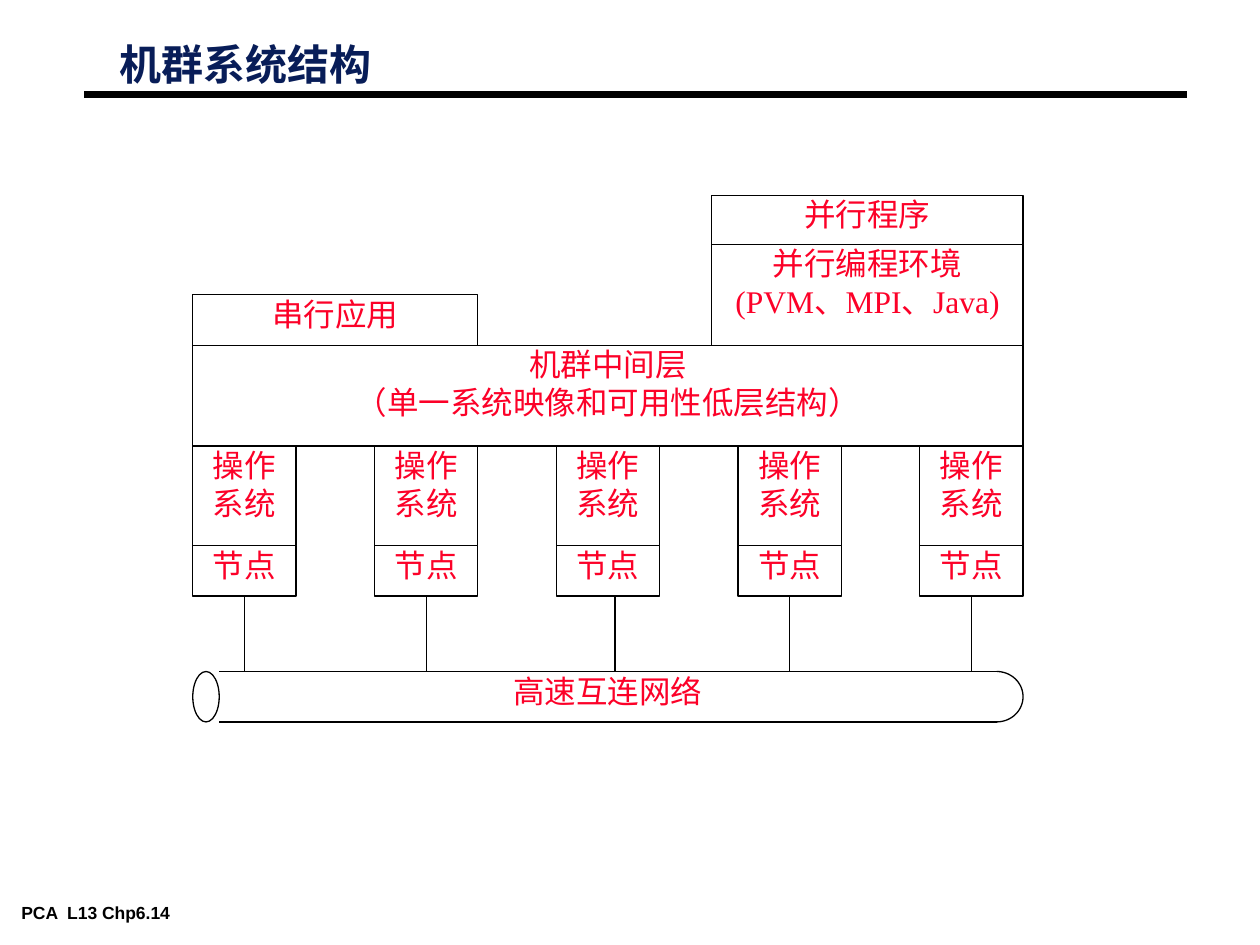
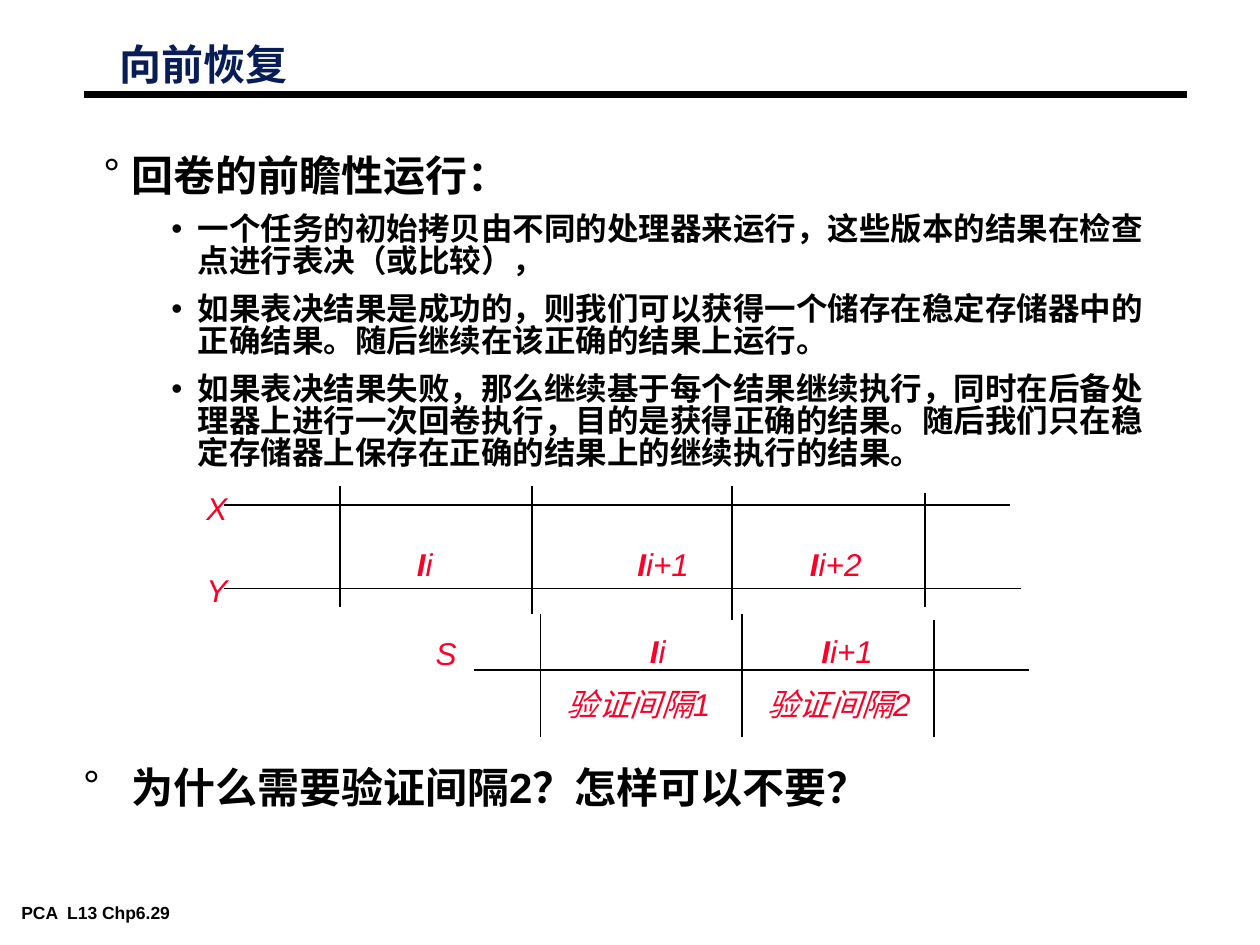
"""Build two lecture slides: cluster architecture and forward recovery."""
import math

import lxml.etree
import pptx
import pptx.dml.color
import pptx.enum.shapes
import pptx.enum.text
import pptx.oxml.ns
import pptx.util

Inches = pptx.util.Inches
Pt = pptx.util.Pt
qn = pptx.oxml.ns.qn
rgb = pptx.dml.color.RGBColor.from_string
SHAPES = pptx.enum.shapes.MSO_SHAPE
ALIGN = pptx.enum.text.PP_ALIGN
BLACK, WHITE, NAVY, RED = "000000", "FFFFFF", "081D58", "FC0128"


def write(frame, paragraphs, size, color, font="Arial", inset=(0.07, 0.03),
          italic=False, align=ALIGN.LEFT, wrap=True):
    """Fill a frame with paragraphs, each a list of (text, bold) runs."""
    frame.word_wrap = wrap
    if not wrap:
        frame.auto_size = pptx.enum.text.MSO_AUTO_SIZE.SHAPE_TO_FIT_TEXT
    frame.vertical_anchor = pptx.enum.text.MSO_ANCHOR.TOP
    frame.margin_left = frame.margin_right = Inches(inset[0])
    frame.margin_top = frame.margin_bottom = Inches(inset[1])
    for index, runs in enumerate(paragraphs):
        paragraph = frame.add_paragraph() if index else frame.paragraphs[0]
        paragraph.alignment = align
        for text, bold in runs:
            run = paragraph.add_run()
            run.text = text
            run.font.name = font
            run.font.size = Pt(size)
            run.font.bold = bold
            run.font.italic = italic
            run.font.color.rgb = rgb(color)


def rule(slide, x1, y1, x2, y2, weight):
    """Draw a plain black straight line."""
    line = slide.shapes.add_connector(pptx.enum.shapes.MSO_CONNECTOR.STRAIGHT,
                                      Inches(x1), Inches(y1), Inches(x2), Inches(y2))
    line.line.color.rgb = rgb(BLACK)
    line.line.width = Pt(weight)
    lxml.etree.SubElement(line._element.spPr, qn("a:effectLst"))
    return line


deck = pptx.Presentation()
deck.slide_width, deck.slide_height = Inches(10), Inches(7.5)

slides = []
for title, title_width, page in [("机群系统结构", 5.86, 14), ("向前恢复", 3.26, 29)]:
    slide = deck.slides.add_slide(deck.slide_layouts[6])
    footer = slide.shapes.add_textbox(Inches(0.1), Inches(7.13), Inches(1.84), Inches(0.22))
    write(footer.text_frame, [[(f"PCA  L13 Chp6.{page}", True)]], 10, BLACK, wrap=False)
    rule(slide, 0.67, 0.75, 9.42, 0.75, 4.5)
    heading = slide.shapes.add_textbox(Inches(0.88), Inches(0.33), Inches(title_width), Inches(0.4))
    write(heading.text_frame, [[(title, True)]], 24, NAVY)
    heading.text_frame.paragraphs[0].line_spacing = 0.87
    slides.append(slide)
cluster, recovery = slides

left, right, node_width, node_count = 1.53, 8.12, 0.82, 5
pitch = (right - left - node_width) / (node_count - 1)
pipe_top, pipe_height, cap = 5.33, 0.4, 0.21
pipe_left, pipe_right = left + cap, right - cap
pipe_middle = pipe_top + pipe_height / 2

arc = []
for degrees in range(90, -91, -5):
    angle = math.radians(degrees)
    arc.append((Inches(pipe_right + cap * math.cos(angle)),
                Inches(pipe_middle + pipe_height / 2 * math.sin(angle))))
builder = cluster.shapes.build_freeform(*arc[0])
builder.add_line_segments(arc[1:], close=False)
pipe_end = builder.convert_to_shape()
pipe_end.shadow.inherit = False
pipe_end.fill.background()
pipe_end.line.color.rgb = rgb(BLACK)
pipe_end.line.width = Pt(0.75)

layers = [
    (SHAPES.RECTANGLE, pipe_left, pipe_top, pipe_right - pipe_left, pipe_height, WHITE, ["高速互连网络"]),
    (SHAPES.OVAL, left, pipe_top, cap, pipe_height, BLACK, []),
]
for column in range(node_count):
    x = left + column * pitch
    layers.append((SHAPES.RECTANGLE, x, 3.54, node_width, 0.79, BLACK, ["操作", "系统"]))
    layers.append((SHAPES.RECTANGLE, x, 4.33, node_width, 0.4, BLACK, ["节点"]))
layers += [
    (SHAPES.RECTANGLE, left, 2.74, right - left, 0.8, BLACK,
     ["机群中间层", "（单一系统映像和可用性低层结构）"]),
    (SHAPES.RECTANGLE, 5.65, 1.94, 2.47, 0.8, BLACK, ["并行编程环境", "(PVM、MPI、Java)"]),
    (SHAPES.RECTANGLE, 5.65, 1.55, 2.47, 0.39, BLACK, ["并行程序"]),
    (SHAPES.RECTANGLE, left, 2.34, 2.26, 0.4, BLACK, ["串行应用"]),
]
nodes = []
for kind, x, y, width, height, outline, lines in layers:
    layer = cluster.shapes.add_shape(kind, Inches(x), Inches(y), Inches(width), Inches(height))
    layer.shadow.inherit = False
    layer.fill.solid()
    layer.fill.fore_color.rgb = rgb(WHITE)
    layer.line.color.rgb = rgb(outline)
    layer.line.width = Pt(0.75)
    write(layer.text_frame, [[(text, False)] for text in lines], 18, RED,
          font="Times New Roman", inset=(0, 0), align=ALIGN.CENTER)
    if lines == ["节点"]:
        nodes.append(layer)

for y in (pipe_top, pipe_top + pipe_height):
    rule(cluster, pipe_left, y, pipe_right, y, 0.75)
for node, x in zip(nodes, [1.94, 3.38, 4.88, 6.27, 7.71]):
    wire = rule(cluster, x, 4.73, x, pipe_top, 0.75)
    if x != 4.88:
        wire.begin_connect(node, 2)
        wire.end_x = wire.begin_x

main_point = (24, 0, 0.22, 0.75, 19.5, "°")
sub_point = (18, 1, 0.75, 0.85, 9, "•")
question = (24, 0, 0.38, 0.75, 19.5, "°")
outline_blocks = [
    (0.75, 1.25, 2.52, [
        ("回卷的前瞻性运行：", main_point),
        ("一个任务的初始拷贝由不同的处理器来运行，这些版本的结果在检查点进行表决（或比较），", sub_point),
        ("如果表决结果是成功的，则我们可以获得一个储存在稳定存储器中的正确结果。"
         "随后继续在该正确的结果上运行。", sub_point),
        ("如果表决结果失败，那么继续基于每个结果继续执行，同时在后备处理器上进行一次回卷执行，"
         "目的是获得正确的结果。随后我们只在稳定存储器上保存在正确的结果上的继续执行的结果。", sub_point),
    ]),
    (0.59, 6.11, 0.36, [("为什么需要验证间隔2？怎样可以不要？", question)]),
]
for x, y, height, points in outline_blocks:
    block = recovery.shapes.add_textbox(Inches(x), Inches(y), Inches(8.58), Inches(height))
    write(block.text_frame, [[(text, True)] for text, style in points], 24, BLACK)
    for paragraph, (text, style) in zip(block.text_frame.paragraphs, points):
        size, level, margin, spacing, before, bullet = style
        paragraph.runs[0].font.size = Pt(size)
        paragraph.level = level
        paragraph.line_spacing = spacing
        paragraph.space_before = Pt(before)
        properties = paragraph._p.get_or_add_pPr()
        properties.set("marL", str(Inches(margin)))
        properties.set("indent", str(-Inches(0.21 if level else margin)))
        bullet_color = lxml.etree.SubElement(properties, qn("a:buClr"))
        lxml.etree.SubElement(bullet_color, qn("a:srgbClr"), val=BLACK)
        lxml.etree.SubElement(properties, qn("a:buFont"), typeface="Arial")
        lxml.etree.SubElement(properties, qn("a:buChar"), char=bullet)

for start, end, y in [(1.78, 8.02, 4.01), (1.78, 8.1, 4.67), (3.76, 8.17, 5.32)]:
    rule(recovery, start, y, end, y, 1)
for x, top, bottom in [(2.7, 3.86, 4.82), (4.22, 3.86, 4.87), (5.81, 3.86, 4.92), (7.34, 3.91, 4.82),
                       (4.29, 4.87, 5.85), (5.89, 4.87, 5.85), (7.41, 4.92, 5.85)]:
    rule(recovery, x, top, x, bottom, 1)

timeline_labels = [
    (1.54, 3.83, 0.36, "", "X"), (1.54, 4.48, 0.36, "", "Y"), (3.36, 4.98, 0.36, "", "S"),
    (3.21, 4.28, 0.34, "I", "i"), (4.96, 4.28, 0.61, "I", "i+1"), (6.33, 4.28, 0.61, "I", "i+2"),
    (5.06, 4.97, 0.34, "I", "i"), (6.42, 4.97, 0.61, "I", "i+1"),
    (4.4, 5.39, 1.4, "", "验证间隔1"), (5.99, 5.39, 1.4, "", "验证间隔2"),
]
for x, y, width, interval, text in timeline_labels:
    label = recovery.shapes.add_textbox(Inches(x), Inches(y), Inches(width), Inches(0.4))
    runs = [(interval, True), (text, False)] if interval else [(text, False)]
    write(label.text_frame, [runs], 18, RED, inset=(0.1, 0.05), italic=True, wrap=False)

deck.save("out.pptx")
